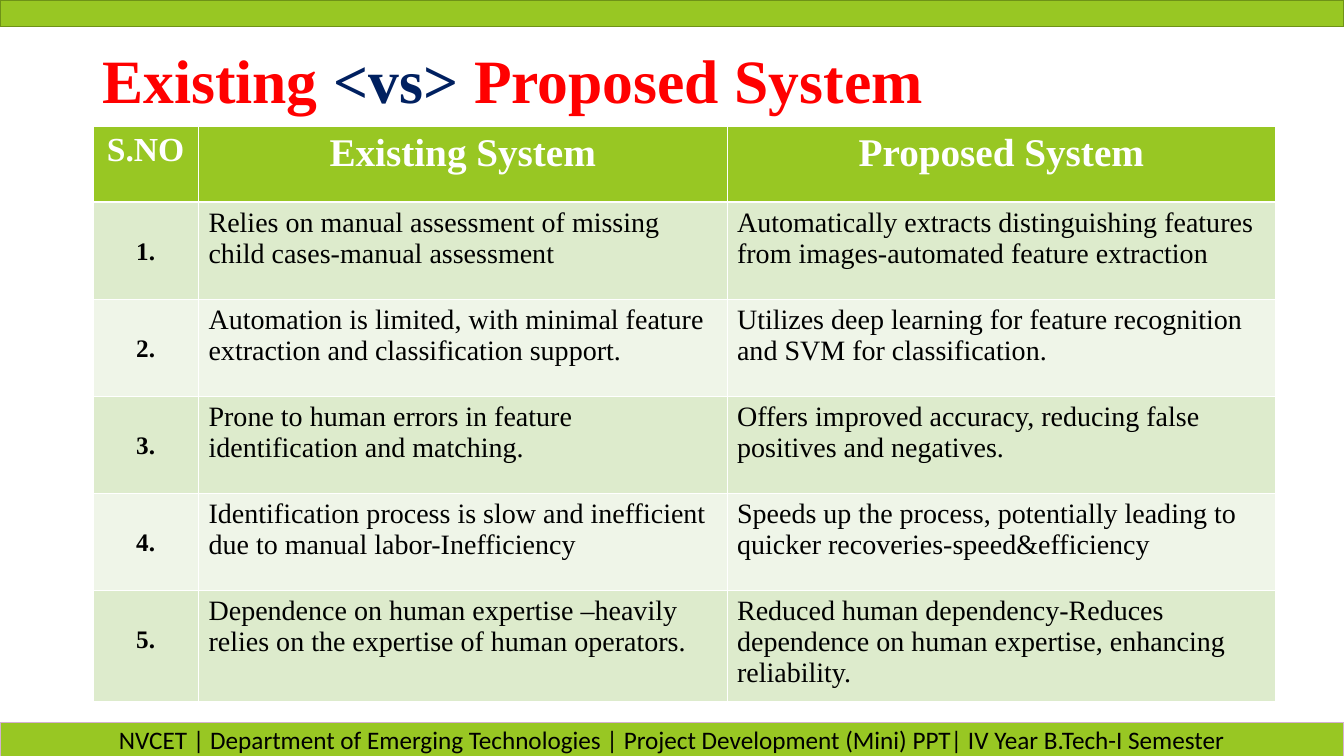
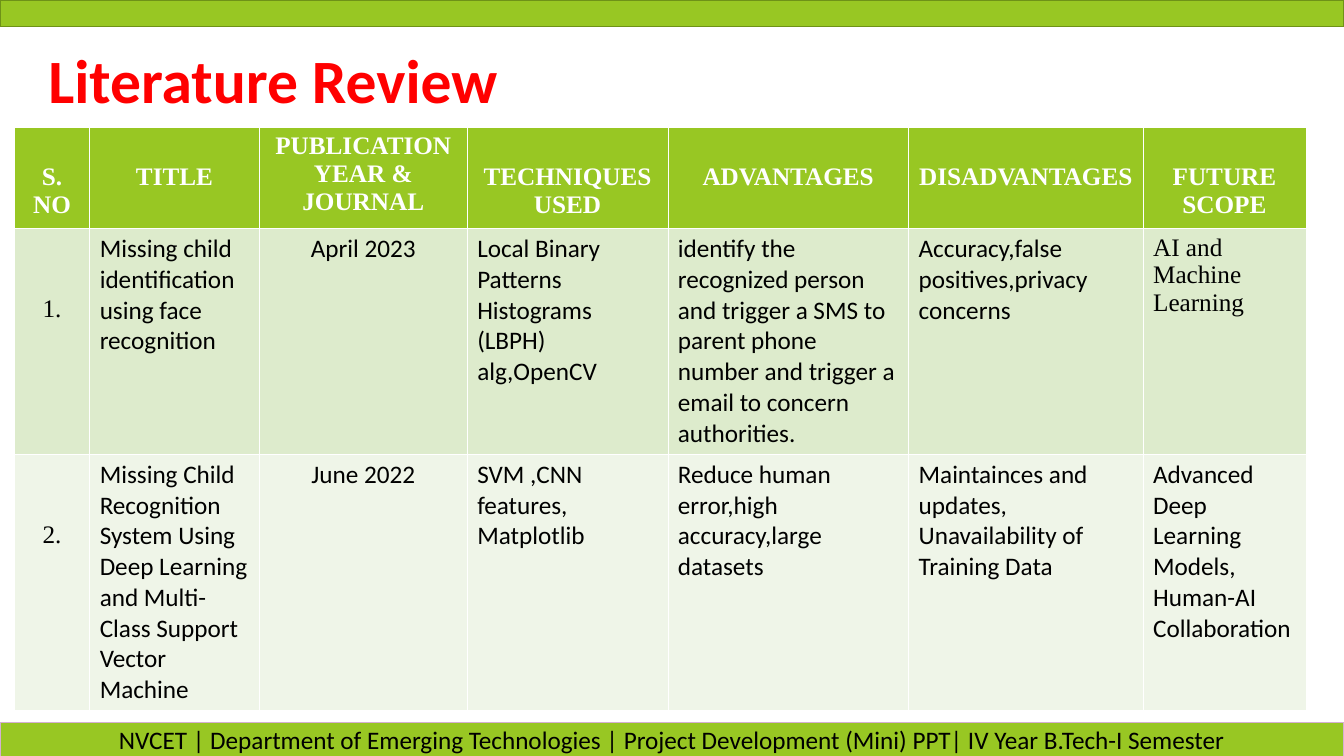
"""Builds two slides comparing systems and reviewing literature on missing child identification."""
from lxml import etree
from pptx import Presentation
from pptx.dml.color import RGBColor
from pptx.enum.shapes import MSO_SHAPE
from pptx.enum.text import MSO_ANCHOR, PP_ALIGN
from pptx.oxml.ns import qn
from pptx.util import Pt

RECT, MIDDLE = MSO_SHAPE.RECTANGLE, MSO_ANCHOR.MIDDLE
LEFT, CENTER = PP_ALIGN.LEFT, PP_ALIGN.CENTER

GREEN = RGBColor(0x98, 0xC7, 0x23)
DARK_GREEN = RGBColor(0x6E, 0x92, 0x17)
MAUVE = RGBColor(0xD4, 0xB0, 0xD2)
RED = RGBColor(0xFF, 0x00, 0x00)
NAVY = RGBColor(0x00, 0x20, 0x60)
BLACK = RGBColor(0x00, 0x00, 0x00)
WHITE = RGBColor(0xFF, 0xFF, 0xFF)
BANDS = RGBColor(0xDD, 0xEB, 0xCC), RGBColor(0xEF, 0xF5, 0xE8)

SERIF, SANS = "Times New Roman", "Calibri"
WIDTH, HEIGHT = 960, 540
THIN, THICK = 0.45, 1.47
MARGIN, LINE = 3.6, 22

FOOTER = ("NVCET | Department of Emerging Technologies | "
          "Project Development (Mini) PPT| IV Year B.Tech-I Semester")

HEAD = {"name": SERIF, "size": 18, "bold": True, "color": WHITE, "align": CENTER}
SERIF_BODY = {"name": SERIF, "size": 20, "bold": False, "color": BLACK, "align": LEFT}
SANS_BODY = {**SERIF_BODY, "name": SANS, "size": 18}
NUMBER = {**SERIF_BODY, "size": 18, "align": CENTER}
BIG_HEAD = {**HEAD, "size": 28}
LOW_HEAD = {**HEAD, "drop": 1}

SLIDES = [
    {
        "title": [("Existing ", RED), ("<vs> ", NAVY), ("Proposed System", RED)],
        "title_font": SERIF,
        "title_left": 66,
        "table_at": (66.3, 90.3),
        "cols": [75.5, 377.5, 392],
        "heights": [54, 69.3, 69.3, 69.3, 69.3, 79.2],
        "head": [{**HEAD, "size": 24}, BIG_HEAD, BIG_HEAD],
        "body": [{**NUMBER, "bold": True, "drop": 1}, SERIF_BODY, SERIF_BODY],
        "special": {},
        "rows": [
            ("S.NO", "Existing System", "Proposed System"),
            ("1.", "Relies on manual assessment of missing child cases-manual assessment",
             "Automatically extracts distinguishing features from images-automated feature extraction"),
            ("2.", "Automation is limited, with minimal feature extraction and classification support.",
             "Utilizes deep learning for feature recognition and SVM for classification."),
            ("3.", "Prone to human errors in feature identification and matching.",
             "Offers improved accuracy, reducing false positives and negatives."),
            ("4.", "Identification process is slow and inefficient due to manual labor-Inefficiency",
             "Speeds up the process, potentially leading to quicker recoveries-speed&efficiency"),
            ("5.", "Dependence on human expertise –heavily relies on the expertise of human operators.",
             "Reduced human dependency-Reduces dependence on human expertise, enhancing reliability."),
        ],
    },
    {
        "title": [("Literature Review", RED)],
        "title_font": SANS,
        "title_left": 27.5,
        "table_at": (10.3, 90.8),
        "cols": [53.8, 121.2, 148.5, 143.3, 172, 167.5, 116.3],
        "heights": [67.2, 161.3, 183],
        "head": [LOW_HEAD, LOW_HEAD, HEAD, LOW_HEAD, LOW_HEAD, LOW_HEAD, LOW_HEAD],
        "body": [{**NUMBER, "drop": 2}, SANS_BODY, {**SANS_BODY, "align": CENTER}] + [SANS_BODY] * 4,
        "special": {(1, 6): {**SANS_BODY, "name": SERIF}},
        "rows": [
            ("S.\nNO", "TITLE", "PUBLICATION YEAR & JOURNAL", "TECHNIQUES USED",
             "ADVANTAGES", "DISADVANTAGES", "FUTURE SCOPE"),
            ("1.", "Missing child identification using face recognition", "April 2023",
             "Local Binary Patterns Histograms (LBPH) alg,OpenCV",
             "identify the recognized person and trigger a SMS to parent phone number "
             "and trigger a email to concern authorities.",
             "Accuracy,false positives,privacy concerns", "AI and Machine Learning"),
            ("2.", "Missing Child Recognition System Using Deep Learning and "
             "Multi-Class Support Vector Machine", "June 2022",
             "SVM ,CNN features,\nMatplotlib",
             "Reduce human error,high accuracy,large datasets",
             "Maintainces and updates, Unavailability of Training Data",
             "Advanced Deep Learning Models, Human-AI Collaboration"),
        ],
    },
]


def add_run(p, text, name, size, color, bold=False):
    r = p.add_run()
    r.text = text
    r.font.color.rgb = color
    for key, value in {"name": name, "size": Pt(size), "bold": bold}.items():
        setattr(r.font, key, value)


def add_band(s, top, height, line):
    sp = s.shapes.add_shape(RECT, Pt(0), Pt(top), Pt(WIDTH), Pt(height))
    sp.shadow.inherit = False
    sp.fill.solid()
    sp.fill.fore_color.rgb = GREEN
    sp.line.color.rgb = line
    sp.line.width = Pt(1)
    return sp


def add_frame(s):
    add_band(s, 0, 18.8, DARK_GREEN)
    tf = add_band(s, 516, 24.3, MAUVE).text_frame
    tf.vertical_anchor = MIDDLE
    p = tf.paragraphs[0]
    p.alignment = CENTER
    add_run(p, FOOTER, SANS, 18, BLACK)


def add_title(s, parts, font, left):
    tf = s.shapes.add_textbox(Pt(left), Pt(29), Pt(894 - left), Pt(61)).text_frame
    tf.word_wrap = True
    tf.vertical_anchor = MIDDLE
    p = tf.paragraphs[0]
    p.line_spacing = 0.9
    for text, color in parts:
        add_run(p, text, font, 44, color, True)


def set_borders(cell, row):
    widths = {"lnL": THIN, "lnR": THIN,
              "lnT": THICK if row == 1 else THIN, "lnB": THICK if row == 0 else THIN}
    tc_pr = cell._tc.get_or_add_tcPr()
    for i, (tag, width) in enumerate(widths.items()):
        ln = etree.Element(qn("a:" + tag), w=str(int(Pt(width))))
        fill = etree.SubElement(ln, qn("a:solidFill"))
        etree.SubElement(fill, qn("a:srgbClr"), val=str(WHITE))
        tc_pr.insert(i, ln)


def fill_cell(cell, text, row, fmt):
    cell.fill.solid()
    cell.fill.fore_color.rgb = BANDS[(row - 1) % 2] if row else GREEN
    cell.margin_top = Pt(MARGIN + LINE * fmt.get("drop", 0))
    set_borders(cell, row)
    tf = cell.text_frame
    for i, part in enumerate(text.split("\n")):
        p = tf.add_paragraph() if i else tf.paragraphs[0]
        p.alignment = fmt["align"]
        add_run(p, part, fmt["name"], fmt["size"], fmt["color"], fmt["bold"])


def add_table(s, data):
    left, top = data["table_at"]
    cols, heights = data["cols"], data["heights"]
    table = s.shapes.add_table(len(heights), len(cols), Pt(left), Pt(top),
                               Pt(sum(cols)), Pt(sum(heights))).table
    table.horz_banding = False
    for column, width in zip(table.columns, cols):
        column.width = Pt(width)
    for i, (height, texts) in enumerate(zip(heights, data["rows"])):
        table.rows[i].height = Pt(height)
        formats = data["body"] if i else data["head"]
        for j, (text, fmt) in enumerate(zip(texts, formats)):
            fill_cell(table.cell(i, j), text, i, data["special"].get((i, j), fmt))


def main():
    prs = Presentation()
    prs.slide_width, prs.slide_height = Pt(WIDTH), Pt(HEIGHT)
    for data in SLIDES:
        s = prs.slides.add_slide(prs.slide_layouts[6])
        add_frame(s)
        add_title(s, data["title"], data["title_font"], data["title_left"])
        add_table(s, data)
    prs.save("out.pptx")


if __name__ == "__main__":
    main()
